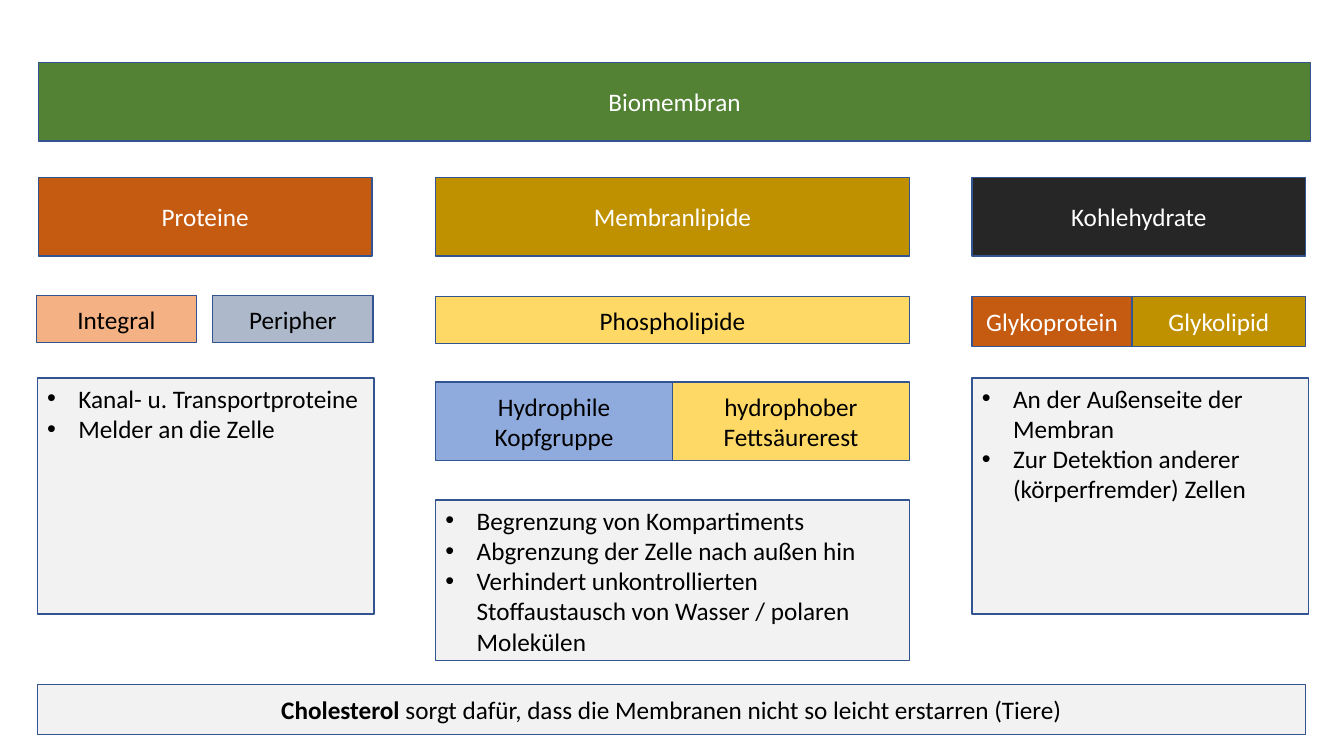
from dataclasses import dataclass

from lxml.etree import SubElement
from pptx import Presentation
from pptx.dml.color import RGBColor
from pptx.enum.shapes import MSO_SHAPE as Preset
from pptx.enum.text import MSO_ANCHOR as Anchor, PP_ALIGN as Align
from pptx.oxml.ns import qn
from pptx.util import Inches, Pt


@dataclass(frozen=True)
class Theme:
    font: str = "Calibri"
    bullet_font: str = "Arial"
    size: float = 18
    outline_width: float = 1
    outline: str = "325491"
    light_text: str = "FFFFFF"
    dark_text: str = "000000"
    membrane: str = "548235"
    protein: str = "C55A11"
    integral: str = "F4B183"
    peripheral: str = "ADB9CA"
    lipid: str = "BF9000"
    phospholipid: str = "FFD966"
    hydrophilic: str = "8FAADC"
    carbohydrate: str = "262626"
    panel: str = "F2F2F2"


THEME = Theme()
SLIDE_SIZE = (13.33, 7.5)
INDENT = 0.31

COLUMNS = {
    "title": (0.38, 12.62),
    "protein": (0.38, 3.31),
    "protein kinds": (0.36, 3.34),
    "protein panel": (0.37, 3.34),
    "lipid": (4.32, 4.7),
    "carbohydrate": (9.64, 3.31),
    "carbohydrate panel": (9.64, 3.34),
    "footer": (0.37, 12.58),
}
ROWS = {
    "title": (0.62, 0.78),
    "group": (1.76, 0.78),
    "protein kinds": (2.93, 0.47),
    "phospholipid": (2.94, 0.47),
    "glyco": (2.94, 0.5),
    "halves": (3.79, 0.78),
    "side panel": (3.75, 2.34),
    "lipid panel": (4.96, 1.59),
    "footer": (6.79, 0.5),
}


def split(column, shares, gap=0):
    left, width = column
    unit = (width - gap * (len(shares) - 1)) / sum(shares)
    parts = []
    for share in shares:
        parts.append((left, unit * share))
        left += unit * share + gap
    return parts


def add_box(slide, column, row, fill):
    (left, width), (top, height) = column, row
    box = slide.shapes.add_shape(
        Preset.RECTANGLE, Inches(left), Inches(top), Inches(width), Inches(height))
    box.shadow.inherit = False
    box.fill.solid()
    box.fill.fore_color.rgb = RGBColor.from_string(fill)
    box.line.color.rgb = RGBColor.from_string(THEME.outline)
    box.line.width = Pt(THEME.outline_width)
    box.text_frame.word_wrap = True
    return box.text_frame


def style_font(font, color):
    font.name = THEME.font
    font.size = Pt(THEME.size)
    font.color.rgb = RGBColor.from_string(color)


def add_label(slide, column, row, text, fill, color=THEME.dark_text, bold_lead=""):
    frame = add_box(slide, column, row, fill)
    frame.vertical_anchor = Anchor.MIDDLE
    label = frame.paragraphs[0]
    label.alignment = Align.CENTER
    for words, bold in ((bold_lead, True), (text, False)):
        if words:
            run = label.add_run()
            run.text = words
            run.font.bold = bold
            style_font(run.font, color)


def add_bullets(slide, column, row, items):
    frame = add_box(slide, column, row, THEME.panel)
    frame.vertical_anchor = Anchor.TOP
    frame.text = "\n".join(items)
    for item in frame.paragraphs:
        item.alignment = Align.LEFT
        properties = item._p.get_or_add_pPr()
        properties.set("marL", str(Inches(INDENT)))
        properties.set("indent", str(Inches(-INDENT)))
        SubElement(properties, qn("a:buFont")).set("typeface", THEME.bullet_font)
        SubElement(properties, qn("a:buChar")).set("char", "•")
        for run in item.runs:
            style_font(run.font, THEME.dark_text)


def add_proteins(slide):
    add_label(slide, COLUMNS["protein"], ROWS["group"], "Proteine",
              THEME.protein, THEME.light_text)
    integral, peripheral = split(COLUMNS["protein kinds"], (1, 1), gap=0.16)
    add_label(slide, integral, ROWS["protein kinds"], "Integral", THEME.integral)
    add_label(slide, peripheral, ROWS["protein kinds"], "Peripher", THEME.peripheral)
    add_bullets(slide, COLUMNS["protein panel"], ROWS["side panel"],
                ["Kanal- u. Transportproteine", "Melder an die Zelle"])


def add_lipids(slide):
    lipid = COLUMNS["lipid"]
    add_label(slide, lipid, ROWS["group"], "Membranlipide",
              THEME.lipid, THEME.light_text)
    add_label(slide, lipid, ROWS["phospholipid"], "Phospholipide", THEME.phospholipid)
    head, tail = split(lipid, (1, 1))
    add_label(slide, head, ROWS["halves"], "Hydrophile Kopfgruppe", THEME.hydrophilic)
    add_label(slide, tail, ROWS["halves"], "hydrophober Fettsäurerest",
              THEME.phospholipid)
    add_bullets(slide, lipid, ROWS["lipid panel"], [
        "Begrenzung von Kompartiments",
        "Abgrenzung der Zelle nach außen hin",
        "Verhindert unkontrollierten Stoffaustausch von Wasser / polaren Molekülen",
    ])


def add_carbohydrates(slide):
    carbohydrate = COLUMNS["carbohydrate"]
    add_label(slide, carbohydrate, ROWS["group"], "Kohlehydrate",
              THEME.carbohydrate, THEME.light_text)
    glycoprotein, glycolipid = split(carbohydrate, (0.48, 0.52))
    add_label(slide, glycoprotein, ROWS["glyco"], "Glykoprotein",
              THEME.protein, THEME.light_text)
    add_label(slide, glycolipid, ROWS["glyco"], "Glykolipid",
              THEME.lipid, THEME.light_text)
    add_bullets(slide, COLUMNS["carbohydrate panel"], ROWS["side panel"],
                ["An der Außenseite der Membran",
                 "Zur Detektion anderer (körperfremder) Zellen"])


def main():
    deck = Presentation()
    deck.slide_width, deck.slide_height = map(Inches, SLIDE_SIZE)
    slide = deck.slides.add_slide(deck.slide_layouts[6])
    add_label(slide, COLUMNS["title"], ROWS["title"], "Biomembran",
              THEME.membrane, THEME.light_text)
    add_proteins(slide)
    add_lipids(slide)
    add_carbohydrates(slide)
    add_label(slide, COLUMNS["footer"], ROWS["footer"],
              " sorgt dafür, dass die Membranen nicht so leicht erstarren (Tiere)",
              THEME.panel, bold_lead="Cholesterol")
    deck.save("out.pptx")


if __name__ == "__main__":
    main()
